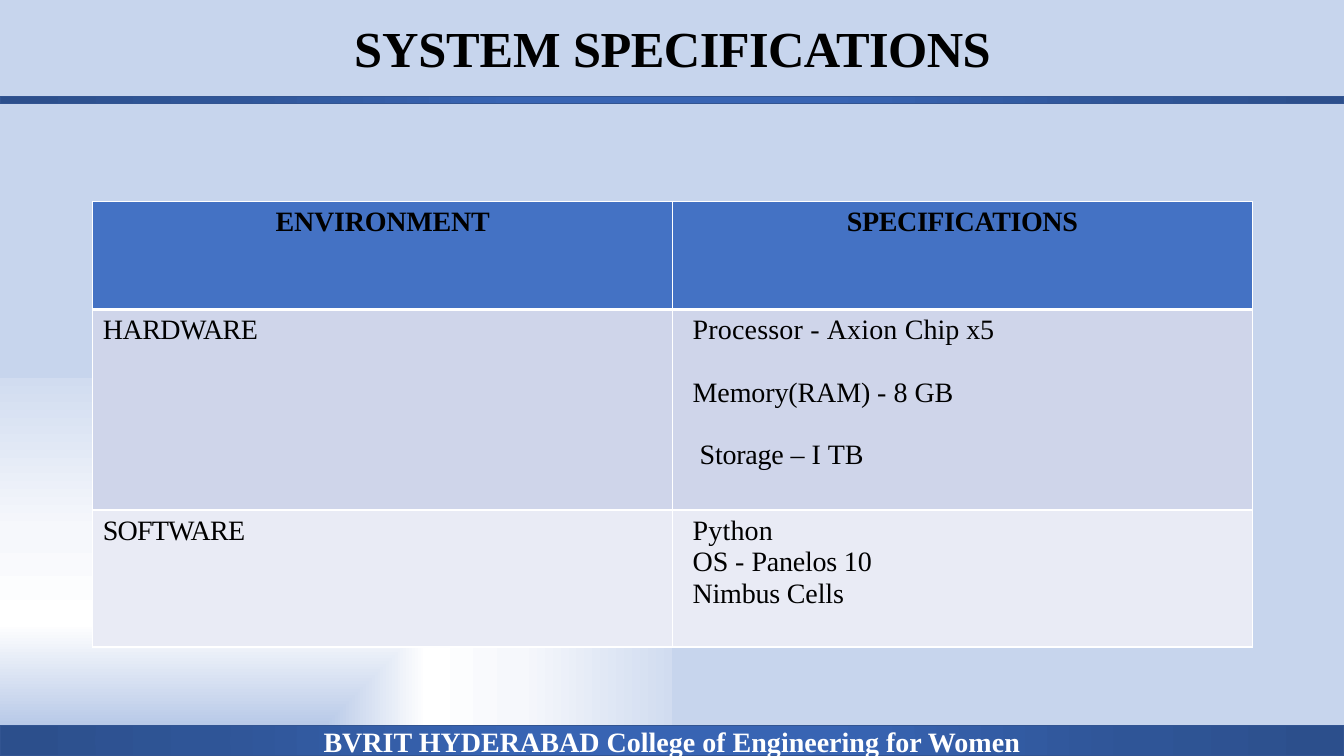
import pptx
import pptx.util
import pptx.dml.color
import pptx.enum.shapes
import pptx.enum.text
import pptx.oxml
import pptx.oxml.ns
from lxml import etree

Inches = pptx.util.Inches
RGBColor = pptx.dml.color.RGBColor
ALIGN = pptx.enum.text.PP_ALIGN
MIDDLE = pptx.enum.text.MSO_ANCHOR.MIDDLE
qn = pptx.oxml.ns.qn

FONT = "Times New Roman"
BLACK = RGBColor(0x00, 0x00, 0x00)
WHITE = RGBColor(0xFF, 0xFF, 0xFF)
HEADER_BLUE = RGBColor(0x44, 0x72, 0xC4)
HARDWARE_FILL = RGBColor(0xCF, 0xD5, 0xEA)
SOFTWARE_FILL = RGBColor(0xE9, 0xEB, 0xF5)
BAR_LINE = RGBColor(0x32, 0x54, 0x91)
BAR_STOPS = [(0, RGBColor(0x38, 0x64, 0xB3)), (23, RGBColor(0x38, 0x64, 0xB3)),
             (69, RGBColor(0x2F, 0x55, 0x97)), (97, RGBColor(0x2C, 0x4F, 0x8C))]
BACKGROUND_STOPS = [(6, RGBColor(0xBE, 0xCE, 0xEA)), (7, RGBColor(0xB5, 0xC7, 0xE7)),
                    (35, WHITE), (60, RGBColor(0xF6, 0xF8, 0xFC)),
                    (100, RGBColor(0xD1, 0xDC, 0xF0)), (100, RGBColor(0xAB, 0xC0, 0xE4)),
                    (100, RGBColor(0xC7, 0xD5, 0xED))]

# Each line is (runs, indent in inches, line spacing, points before);
# each run is (text, letter spacing in points).
HARDWARE_LINES = [
    ([("Processor ", 0.1), ("- ", 0), ("Axion ", 0.1), ("Chip ", 0), ("x5", -0.3)], 0.1, 1, 0),
    ([("Memory(RAM) ", -0.1), ("- 8 ", 0), ("GB", -0.1)], 0.1, 1.98, 0.8),
    ([("Storage ", -0.2), ("– I ", 0), ("TB", -0.2)], 0.17, 1.98, 0.8),
]
SOFTWARE_LINES = [
    ([("Python", 0.1)], 0.1, 1, 0),
    ([("OS ", -0.1), ("- ", 0), ("Panelos ", -0.2), ("10", -0.1)], 0.1, 1.01, 0.1),
    ([("Nimbus ", -0.2), ("Cells", -0.1)], 0.1, 1.01, 0.1),
]


def set_path_gradient(element, stops, shade, focus):
    """Fill the gradient found in element; focus is left, top, right, bottom in percent."""
    gradient = element.find(".//" + qn("a:gradFill"))
    for child in list(gradient):
        gradient.remove(child)
    stop_list = etree.SubElement(gradient, qn("a:gsLst"))
    for position, color in stops:
        stop = etree.SubElement(stop_list, qn("a:gs"), pos=str(position * 1000))
        etree.SubElement(stop, qn("a:srgbClr"), val=str(color))
    shading = etree.SubElement(gradient, qn("a:path"))
    shading.set("path", shade)
    rectangle = etree.SubElement(shading, qn("a:fillToRect"))
    for side, percent in zip("ltrb", focus):
        rectangle.set(side, str(percent * 1000))


def add_runs(paragraph, runs, size, color=BLACK, bold=False):
    for text, spacing in runs:
        run = paragraph.add_run()
        run.text = text
        run.font.name = FONT
        run.font.size = pptx.util.Pt(size)
        run.font.bold = bold
        run.font.color.rgb = color
        run.font._element.set("spc", str(round(spacing * 100)))


def add_title(slide, left, top, width, height):
    box = slide.shapes.add_textbox(left, top, width, height)
    frame = box.text_frame
    frame.word_wrap = True
    frame.vertical_anchor = MIDDLE
    paragraph = frame.paragraphs[0]
    paragraph.alignment = ALIGN.CENTER
    paragraph.line_spacing = 0.9
    add_runs(paragraph, [("SYSTEM ", -0.1), ("SPECIFICATIONS", -0.4)], 36, bold=True)


def add_bar(slide, left, top, width, height, text=""):
    bar = slide.shapes.add_shape(pptx.enum.shapes.MSO_SHAPE.RECTANGLE, left, top, width, height)
    bar.shadow.inherit = False
    bar.fill.gradient()
    set_path_gradient(bar.element, BAR_STOPS, "circle", (50, 50, 50, 50))
    bar.line.color.rgb = BAR_LINE
    bar.line.width = pptx.util.Pt(1)
    if text:
        bar.text_frame.vertical_anchor = MIDDLE
        paragraph = bar.text_frame.paragraphs[0]
        paragraph.alignment = ALIGN.CENTER
        add_runs(paragraph, [(text, 0)], 20, WHITE, bold=True)


def style_cell(cell, color, bottom_width):
    """Give the cell white borders and a plain fill."""
    properties = cell._tc.get_or_add_tcPr()
    for side, width in (("L", 1), ("R", 1), ("T", 1), ("B", bottom_width)):
        border = etree.SubElement(properties, qn("a:ln" + side), w=str(pptx.util.Pt(width)))
        fill = etree.SubElement(border, qn("a:solidFill"))
        etree.SubElement(fill, qn("a:srgbClr"), val=str(WHITE))
    cell.fill.solid()
    cell.fill.fore_color.rgb = color


def fill_cell(cell, lines, header):
    frame = cell.text_frame
    for index, (runs, indent, line_spacing, before) in enumerate(lines):
        paragraph = frame.add_paragraph() if index else frame.paragraphs[0]
        paragraph.alignment = ALIGN.CENTER if header else ALIGN.LEFT
        paragraph.line_spacing = line_spacing
        if before:
            paragraph.space_before = pptx.util.Pt(before)
        paragraph._p.get_or_add_pPr().set("marL", str(Inches(indent)))
        add_runs(paragraph, runs, 20, bold=header)


def add_specification_table(slide, left, top, width):
    rows = [
        (1.07, HEADER_BLUE, [("ENVIRONMENT", -0.2)], [([("SPECIFICATIONS", -0.3)], 0, 1, 0)]),
        (1.99, HARDWARE_FILL, [("HARDWARE", -0.4)], HARDWARE_LINES),
        (1.36, SOFTWARE_FILL, [("SOFTWARE", -0.6)], SOFTWARE_LINES),
    ]
    height = Inches(sum(row[0] for row in rows))
    table = slide.shapes.add_table(len(rows), 2, left, top, width, height).table
    for index, (row_height, color, label, lines) in enumerate(rows):
        header = index == 0
        table.rows[index].height = Inches(row_height)
        for column, content in enumerate(([(label, 0, 1, 0)], lines)):
            cell = table.cell(index, column)
            style_cell(cell, color, 3 if header else 1)
            fill_cell(cell, content, header)


def main():
    presentation = pptx.Presentation()
    presentation.slide_width = width = Inches(13.33)
    presentation.slide_height = Inches(7.5)
    slide = presentation.slides.add_slide(presentation.slide_layouts[6])
    slide.background.fill.gradient()
    set_path_gradient(slide.element, BACKGROUND_STOPS, "rect", (0, 100, 100, 0))

    margin = Inches(0.92)
    content_width = Inches(11.5)
    add_title(slide, margin, Inches(0.15), content_width, Inches(0.71))
    add_specification_table(slide, margin, Inches(2), content_width)
    add_bar(slide, 0, Inches(7.2), width, Inches(0.3),
            "BVRIT HYDERABAD College of Engineering for Women")
    add_bar(slide, 0, Inches(0.96), width, Inches(0.07))
    presentation.save("out.pptx")


if __name__ == "__main__":
    main()
